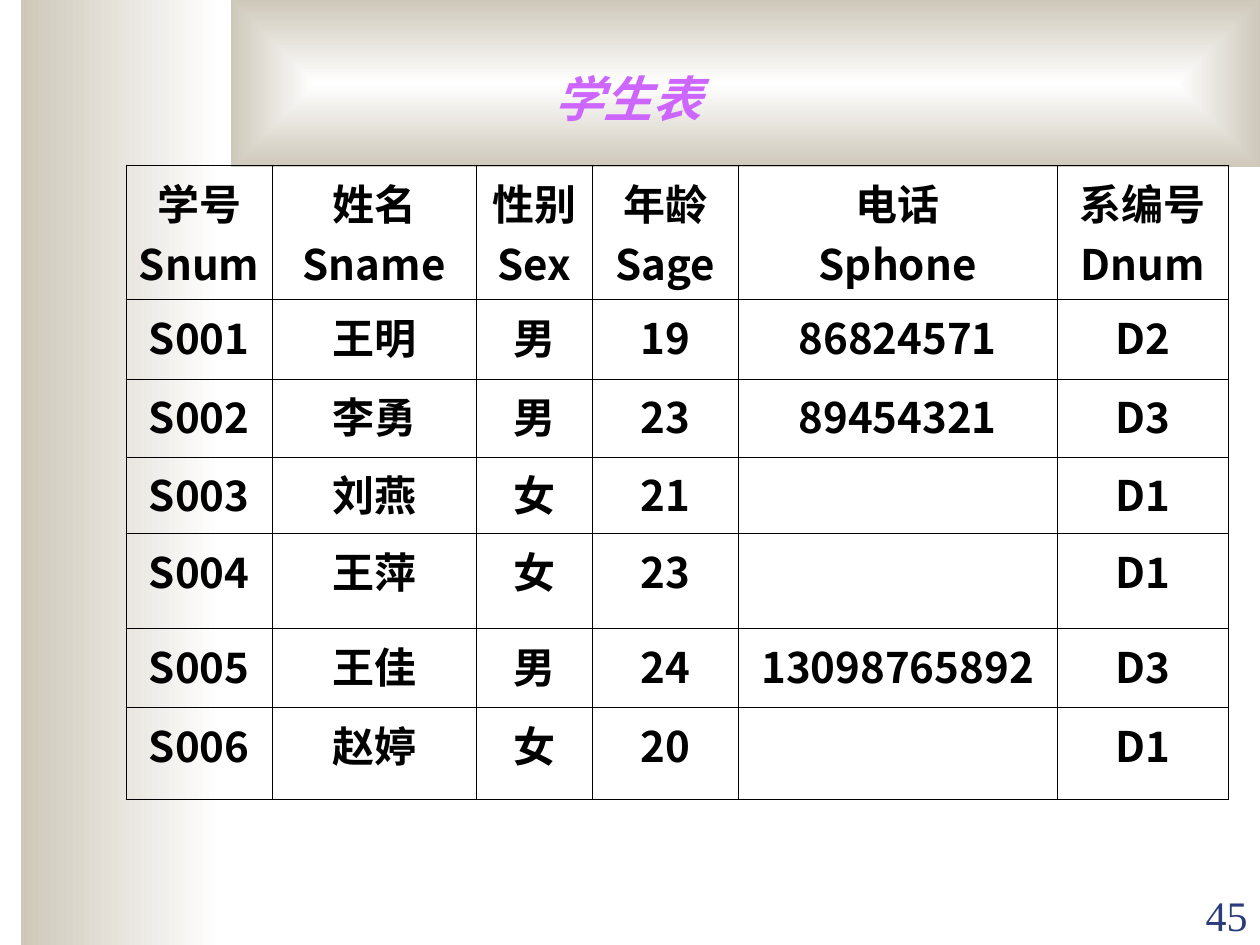
"""Build the student table slide."""
from lxml import etree
from pptx import Presentation, util as u
from pptx.dml.color import RGBColor
from pptx.enum import shapes, text
from pptx.oxml import ns

BLACK = RGBColor(0x00, 0x00, 0x00)
WHITE = RGBColor(0xFF, 0xFF, 0xFF)
SAND = RGBColor(0xCE, 0xC8, 0xBA)
PINK = RGBColor(0xCC, 0x66, 0xFF)
NAVY = RGBColor(0x2A, 0x3D, 0x7A)
SANS = "Noto Sans CJK SC"


def add_run(para, words, face, size, color, bold=False, east=None):
    run = para.add_run()
    run.text = words
    font = run.font
    font.name, font.size, font.bold = face, u.Pt(size), bold
    font.color.rgb = color
    if east:
        props = run._r.get_or_add_rPr()
        etree.SubElement(props, ns.qn("a:ea"), typeface=east)
    return run


def add_panel(left, width, height):
    panel = slide.shapes.add_shape(
        shapes.MSO_SHAPE.RECTANGLE, u.Inches(left), 0, u.Inches(width), u.Inches(height))
    panel.shadow.inherit = False
    panel.line.fill.background()
    panel.fill.gradient()
    panel.fill.gradient_angle = 180
    for stop, color, place in zip(panel.fill.gradient_stops, (WHITE, SAND), (0, 1)):
        stop.color.rgb, stop.position = color, place
    return panel


prs = Presentation()
prs.slide_width, prs.slide_height = u.Inches(10), u.Inches(7.5)
slide = prs.slides.add_slide(prs.slide_layouts[5])

add_panel(0.17, 1.58, 7.5)
band = add_panel(1.83, 8.17, 1.33)
line = band.element.find(".//" + ns.qn("a:lin"))
glow = etree.Element(ns.qn("a:path"), path="rect")
etree.SubElement(glow, ns.qn("a:fillToRect"), dict.fromkeys("ltrb", "50000"))
line.getparent().replace(line, glow)

cols = [1.16, 1.62, 0.92, 1.16, 2.53, 1.36]
rows = [0.95, 0.63, 0.62, 0.61, 0.75, 0.63, 0.73]
data = [
    ["学号\nSnum", "姓名\nSname", "性别\nSex", "年龄\nSage", "电话\nSphone", "系编号\nDnum"],
    ["S001", "王明", "男", "19", "86824571", "D2"],
    ["S002", "李勇", "男", "23", "89454321", "D3"],
    ["S003", "刘燕", "女", "21", "", "D1"],
    ["S004", "王萍", "女", "23", "", "D1"],
    ["S005", "王佳", "男", "24", "13098765892", "D3"],
    ["S006", "赵婷", "女", "20", "", "D1"],
]
frame = slide.shapes.add_table(
    len(rows), len(cols), u.Inches(1), u.Inches(1.31), u.Inches(8.75), u.Inches(4.92))
table = frame.table
table.first_row = table.horz_banding = False
for col, width in zip(table.columns, cols):
    col.width = u.Inches(width)
for row, height, words in zip(table.rows, rows, data):
    row.height = u.Inches(height)
    for cell, word in zip(row.cells, words):
        props = cell._tc.get_or_add_tcPr()
        for side in ("lnL", "lnR", "lnT", "lnB"):
            edge = etree.SubElement(props, ns.qn("a:" + side), w=str(u.Pt(0.45)))
            ink = etree.SubElement(edge, ns.qn("a:solidFill"))
            etree.SubElement(ink, ns.qn("a:srgbClr"), val=str(BLACK))
        cell.fill.background()
        if not word:
            continue
        for num, part in enumerate(word.split("\n")):
            body = cell.text_frame
            para = body.add_paragraph() if num else body.paragraphs[0]
            para.alignment = text.PP_ALIGN.CENTER
            add_run(para, part, SANS, 24, BLACK, True, SANS)

title = slide.shapes.title
title.left, title.top = u.Inches(4.3), u.Inches(0.49)
title.width, title.height = u.Inches(1.43), u.Inches(0.57)
body = title.text_frame
body.word_wrap = False
body.auto_size = text.MSO_AUTO_SIZE.NONE
body.vertical_anchor = text.MSO_ANCHOR.MIDDLE
para = body.paragraphs[0]
para.alignment = text.PP_ALIGN.LEFT
add_run(para, "学生表", "Arial", 28, PINK, True, SANS).font.italic = True
title.element.getparent().append(title.element)

page = slide.shapes.add_textbox(u.Inches(9), u.Inches(7.01), u.Inches(1), u.Inches(0.5))
body = page.text_frame
body.word_wrap = True
body.vertical_anchor = text.MSO_ANCHOR.BOTTOM
para = body.paragraphs[0]
para.alignment = text.PP_ALIGN.RIGHT
add_run(para, "45", "Times New Roman", 24, NAVY)

prs.save("out.pptx")
